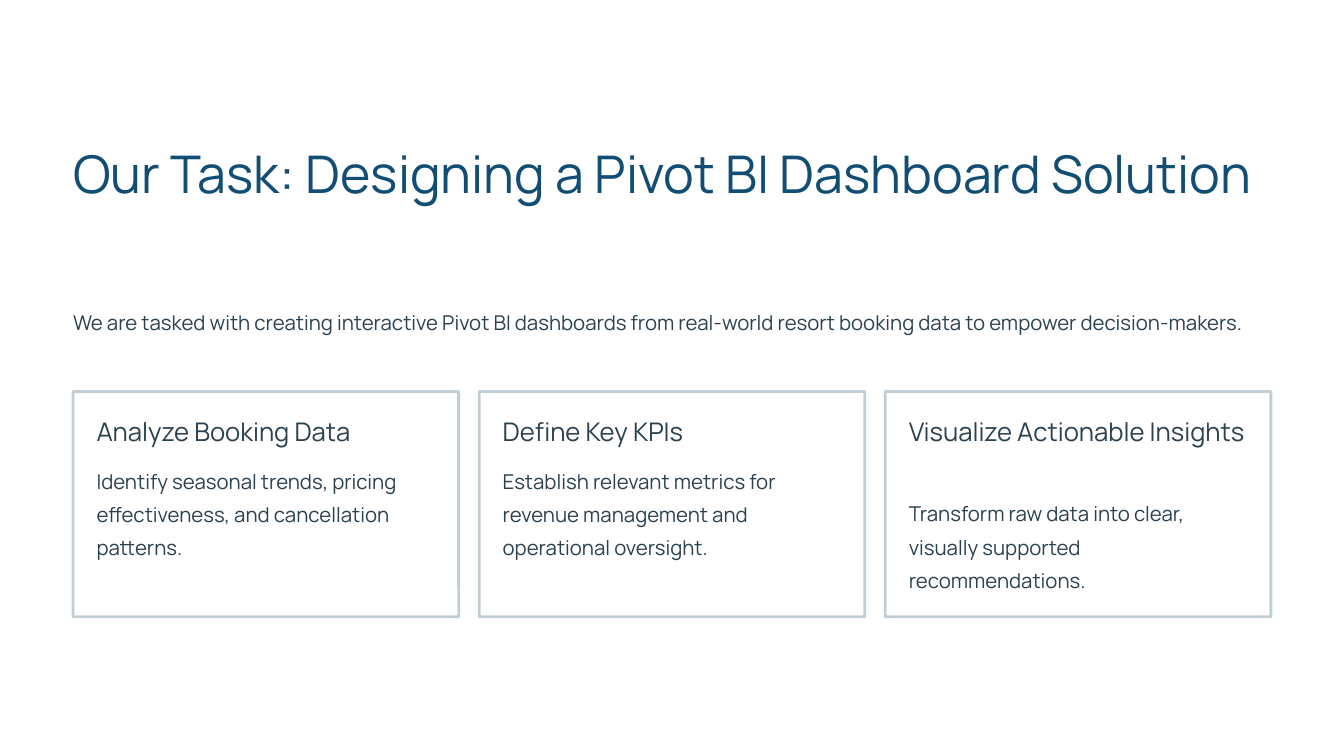
import pptx
import pptx.util
import pptx.dml.color
import pptx.enum.shapes
import pptx.enum.text

Cm = pptx.util.Cm
Pt = pptx.util.Pt

FONT = "Manrope"
NAVY = "124E73"
SLATE = "2B4150"
BORDER = "C1CED6"
WHITE = "FFFFFF"

MARGIN = 2.21
CONTENT_WIDTH = 36.22
CARD_GAP = 0.62
CARD_PADDING = 0.71
HEADING_LINE = 0.99
HEADING_GAP = 0.37

CARDS = [
    ("Analyze Booking Data", 1,
     "Identify seasonal trends, pricing effectiveness, and cancellation patterns."),
    ("Define Key KPIs", 1,
     "Establish relevant metrics for revenue management and operational oversight."),
    ("Visualize Actionable Insights", 2,
     "Transform raw data into clear, visually supported recommendations."),
]


def color(hex_string):
    return pptx.dml.color.RGBColor.from_string(hex_string)


def add_text(page, left, top, width, height, text, size, line_spacing, hex_string):
    box = page.shapes.add_textbox(Cm(left), Cm(top), Cm(width), Cm(height))
    frame = box.text_frame
    frame.word_wrap = True
    frame.vertical_anchor = pptx.enum.text.MSO_ANCHOR.TOP
    frame.margin_left = frame.margin_right = 0
    frame.margin_top = frame.margin_bottom = 0
    frame.text = text
    para = frame.paragraphs[0]
    para.line_spacing = Pt(line_spacing)
    span = para.runs[0]
    span.font.name = FONT
    span.font.size = Pt(size)
    span.font.color.rgb = color(hex_string)


def add_header(page, left, top, width):
    add_text(page, left, top, width, 3.94,
             "Our Task: Designing a Pivot BI Dashboard Solution", 44.5, 55.5, NAVY)
    add_text(page, left, top + 4.9, width, 2,
             "We are tasked with creating interactive Pivot BI dashboards from "
             "real-world resort booking data to empower decision-makers.",
             17.5, 28.5, SLATE)


def add_card(page, left, top, width, height, heading, heading_lines, body):
    card = page.shapes.add_shape(
        pptx.enum.shapes.MSO_SHAPE.ROUNDED_RECTANGLE,
        Cm(left), Cm(top), Cm(width), Cm(height))
    card.adjustments[0] = 0.004
    card.shadow.inherit = False
    card.fill.solid()
    card.fill.fore_color.rgb = color(WHITE)
    card.line.color.rgb = color(BORDER)
    card.line.width = Pt(2.4)

    text_left = left + CARD_PADDING
    text_width = width - 2 * CARD_PADDING
    heading_top = top + CARD_PADDING
    heading_height = heading_lines * HEADING_LINE
    add_text(page, text_left, heading_top, text_width, heading_height,
             heading, 22, 27.5, SLATE)
    add_text(page, text_left, heading_top + heading_height + HEADING_GAP,
             text_width, 3.02, body, 17.5, 28.5, SLATE)


def add_card_row(page, left, top, width, height):
    card_width = (width - CARD_GAP * (len(CARDS) - 1)) / len(CARDS)
    for index, (heading, heading_lines, body) in enumerate(CARDS):
        add_card(page, left + index * (card_width + CARD_GAP), top,
                 card_width, height, heading, heading_lines, body)


def main():
    deck = pptx.Presentation()
    deck.slide_width = Cm(40.64)
    deck.slide_height = Cm(22.86)
    page = deck.slides.add_slide(deck.slide_layouts[6])
    page.background.fill.solid()
    page.background.fill.fore_color.rgb = color(WHITE)
    add_header(page, MARGIN, 4.22, CONTENT_WIDTH)
    add_card_row(page, MARGIN, 11.84, CONTENT_WIDTH, 6.81)
    deck.save("out.pptx")


if __name__ == "__main__":
    main()
